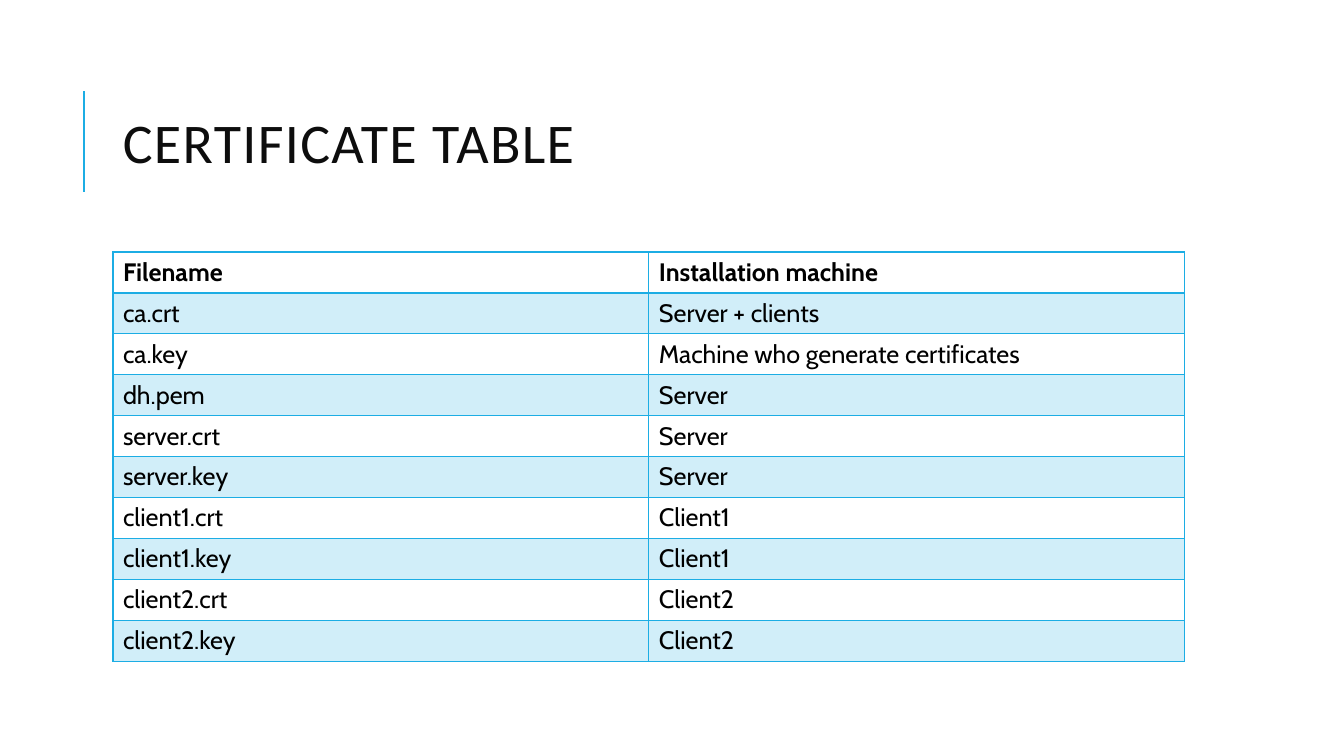
from typing import NamedTuple

from lxml import etree
from pptx import Presentation
from pptx import util as u
from pptx.dml.color import RGBColor
from pptx.enum import shapes, text
from pptx.oxml.ns import qn

BLUE = RGBColor(0x1C, 0xAD, 0xE4)
INK = RGBColor(0x0D, 0x0D, 0x0D)
BLACK = RGBColor(0, 0, 0)
LEFT, WIDTH = u.Inches(1.12), u.Inches(10.63)


class Certificate(NamedTuple):
    filename: str
    machine: str


HEADER = Certificate("Filename", "Installation machine")
CERTIFICATES = [
    Certificate("ca.crt", "Server + clients"),
    Certificate("ca.key", "Machine who generate certificates"),
    Certificate("dh.pem", "Server"),
    Certificate("server.crt", "Server"),
    Certificate("server.key", "Server"),
    Certificate("client1.crt", "Client1"),
    Certificate("client1.key", "Client1"),
    Certificate("client2.crt", "Client2"),
    Certificate("client2.key", "Client2"),
]


def add_accent_line(page) -> None:
    x = u.Inches(0.83)
    line = page.shapes.add_connector(
        shapes.MSO_CONNECTOR.STRAIGHT, x, u.Inches(1.9), x, u.Inches(0.9))
    line.line.color.rgb = BLUE
    line.line.width = u.Pt(1.5)
    etree.SubElement(line._element.spPr, qn("a:effectLst"))


def add_title(page, wording: str) -> None:
    box = page.shapes.add_textbox(LEFT, u.Inches(0.64), WIDTH, u.Inches(1.64))
    frame = box.text_frame
    frame.word_wrap = True
    frame.vertical_anchor = text.MSO_ANCHOR.MIDDLE
    para = frame.paragraphs[0]
    para.line_spacing = 0.8
    para.font.name = "Calibri"
    para.font.size = u.Pt(40)
    para.font.color.rgb = INK
    span = para.add_run()
    span.text = wording
    span.font._element.set("spc", "100")


def set_borders(cell, top: float, bottom: float) -> None:
    properties = cell._tc.get_or_add_tcPr()
    sides = {"lnL": 1, "lnR": 1, "lnT": top, "lnB": bottom}
    for index, (side, points) in enumerate(sides.items()):
        border = etree.Element(qn(f"a:{side}"), w=str(u.Pt(points)))
        fill = etree.SubElement(border, qn("a:solidFill"))
        etree.SubElement(fill, qn("a:srgbClr"), val=str(BLUE))
        properties.insert(index, border)


def fill_cell(cell, wording: str, row: int) -> None:
    cell.text = wording
    font = cell.text_frame.paragraphs[0].font
    font.name = "Cabin"
    font.size = u.Pt(18)
    font.bold = row == 0
    font.color.rgb = BLACK
    if row % 2:
        cell.fill.solid()
        cell.fill.fore_color.rgb = BLUE
        color = cell._tc.tcPr.find(f"{qn('a:solidFill')}/{qn('a:srgbClr')}")
        etree.SubElement(color, qn("a:alpha"), val="20000")
    else:
        cell.fill.background()
    set_borders(cell, top=2 if row == 1 else 1, bottom=2 if row == 0 else 1)


def add_certificate_table(page) -> None:
    rows = [HEADER, *CERTIFICATES]
    table = page.shapes.add_table(
        len(rows), len(HEADER), LEFT, u.Inches(2.5), WIDTH, u.Inches(4.06)).table
    table.first_row = False
    table.horz_banding = False
    for row, certificate in enumerate(rows):
        for column, wording in enumerate(certificate):
            fill_cell(table.cell(row, column), wording, row)


deck = Presentation()
deck.slide_width, deck.slide_height = u.Inches(13.33), u.Inches(7.5)
page = deck.slides.add_slide(deck.slide_layouts[6])
add_accent_line(page)
add_title(page, "CERTIFICATE TABLE")
add_certificate_table(page)
deck.save("out.pptx")
